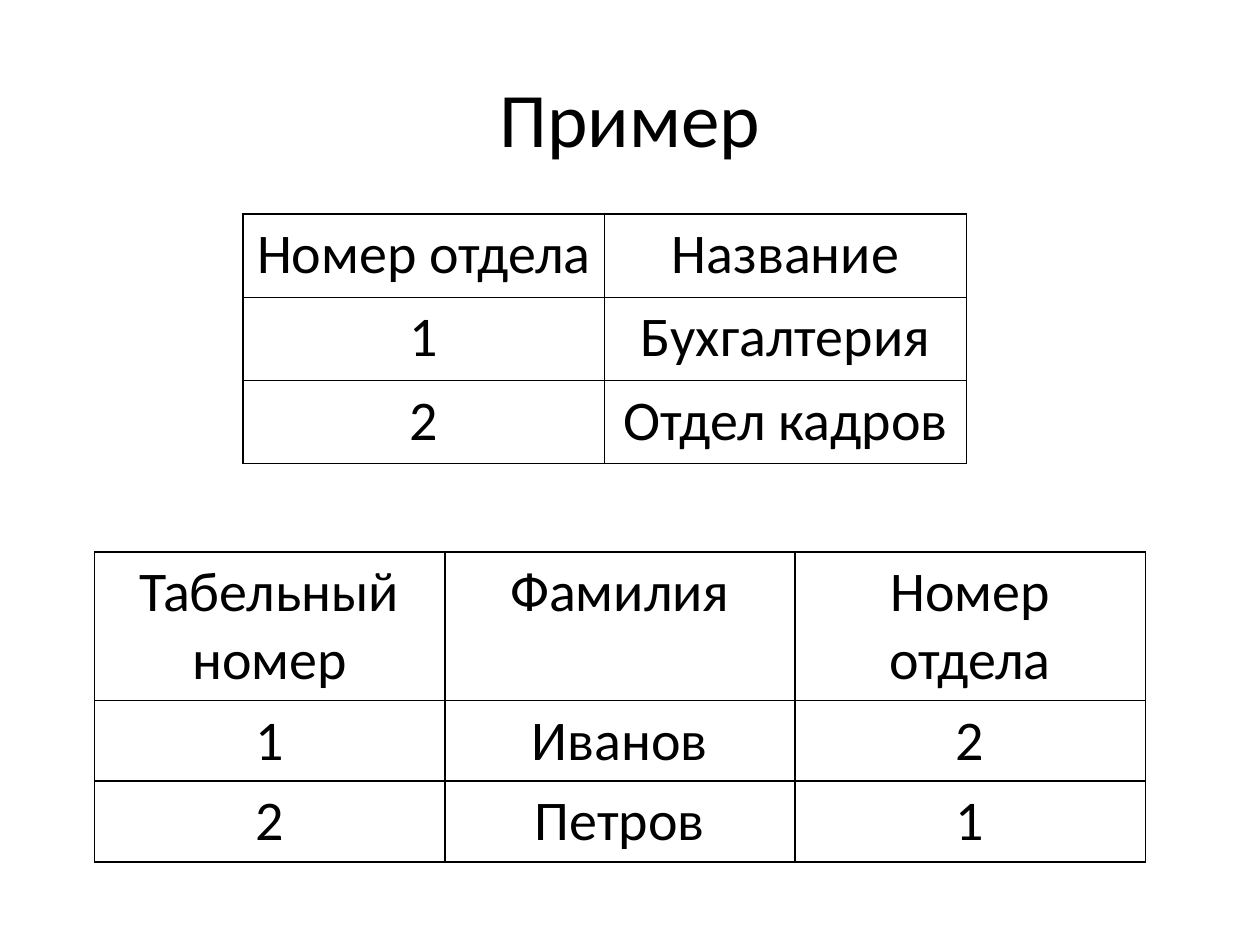
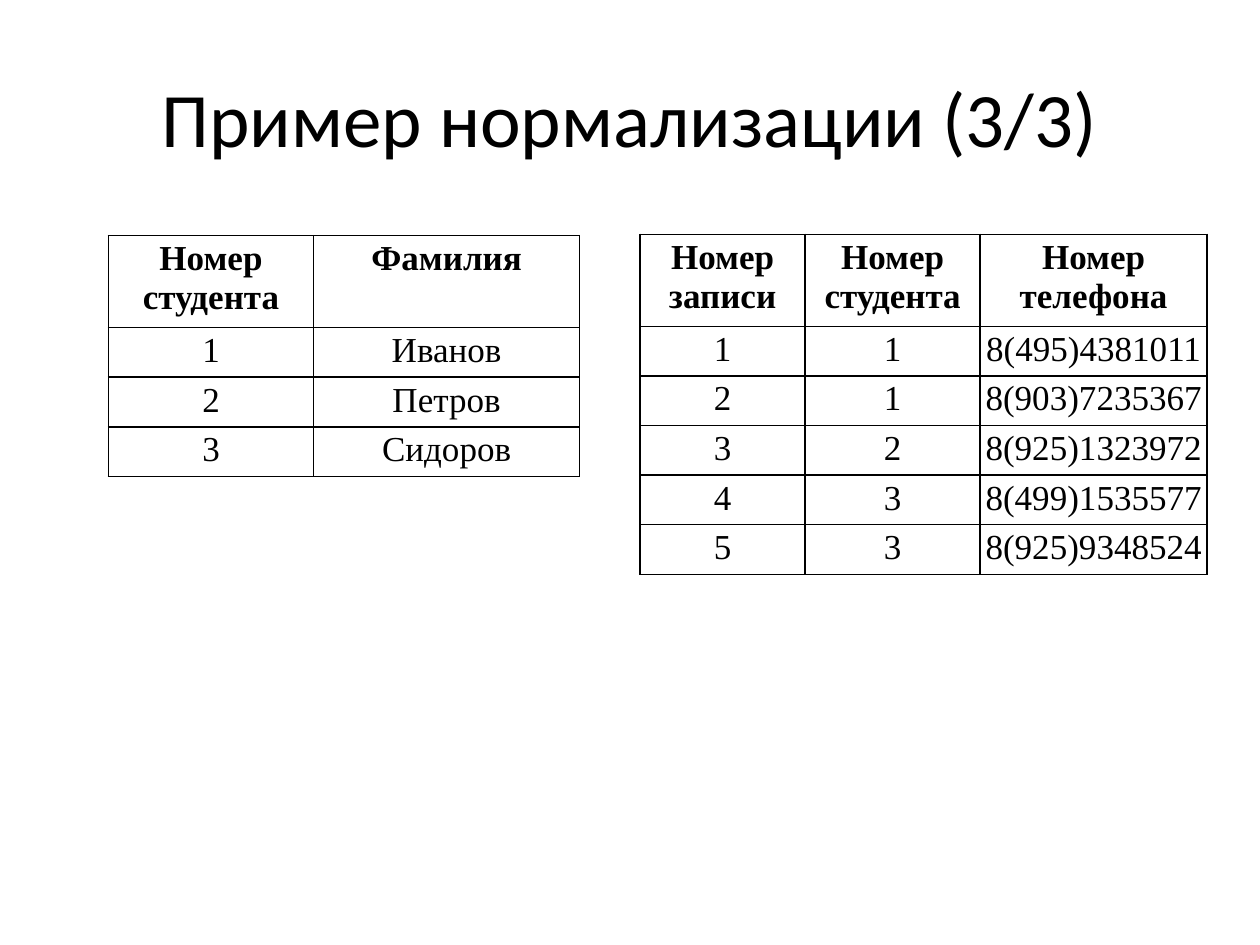
"""Build two slides of example relational tables and their normalised form."""
from dataclasses import dataclass

from lxml import etree
from pptx import Presentation
from pptx import util as u
from pptx.dml.color import RGBColor
from pptx.enum import text
from pptx.oxml import ns


@dataclass(frozen=True)
class Theme:
    ink: str = "000000"
    paper: str = "FFFFFF"
    title_font: str = "Calibri"
    title_size: int = 44
    border: float = 1


@dataclass(frozen=True)
class TableStyle:
    font: str
    size: int
    bold_header: bool
    margin_x: float
    margin_y: float


theme = Theme()
large = TableStyle("Calibri", 32, False, 0.1, 0.05)
compact = TableStyle("Times New Roman", 20, True, 0.03, 0.03)


def style_paragraph(p, font, size, bold=False):
    p.alignment = text.PP_ALIGN.CENTER
    p.font.name = font
    p.font.size = u.Pt(size)
    p.font.bold = bold
    p.font.color.rgb = RGBColor.from_string(theme.ink)


def add_grid(s, left, top, widths, heights, rows, style):
    frame = s.shapes.add_table(len(rows), len(widths), u.Inches(left), u.Inches(top),
                               u.Inches(sum(widths)), u.Inches(sum(heights)))
    table = frame.table
    table.first_row = table.horz_banding = False
    for column, width in zip(table.columns, widths):
        column.width = u.Inches(width)
    for i, (row, height) in enumerate(zip(rows, heights)):
        table.rows[i].height = u.Inches(height)
        for j, value in enumerate(row):
            cell = table.cell(i, j)
            cell.margin_left = cell.margin_right = u.Inches(style.margin_x)
            cell.margin_top = cell.margin_bottom = u.Inches(style.margin_y)
            props = cell._tc.get_or_add_tcPr()
            for side in ("a:lnL", "a:lnR", "a:lnT", "a:lnB"):
                ln = etree.SubElement(props, ns.qn(side), w=str(u.Pt(theme.border)))
                fill = etree.SubElement(ln, ns.qn("a:solidFill"))
                etree.SubElement(fill, ns.qn("a:srgbClr"), val=theme.ink)
            cell.fill.background()
            p = cell.text_frame.paragraphs[0]
            p.text = value
            style_paragraph(p, style.font, style.size, style.bold_header and i == 0)


departments = [("Номер отдела", "Название"), ("1", "Бухгалтерия"), ("2", "Отдел кадров")]
employees = [("Табельный номер", "Фамилия", "Номер отдела"),
             ("1", "Иванов", "2"), ("2", "Петров", "1")]
phones = [("Номер записи", "Номер студента", "Номер телефона"),
          ("1", "1", "8(495)4381011"),
          ("2", "1", "8(903)7235367"),
          ("3", "2", "8(925)1323972"),
          ("4", "3", "8(499)1535577"),
          ("5", "3", "8(925)9348524")]
students = [("Номер студента", "Фамилия"),
            ("1", "Иванов"), ("2", "Петров"), ("3", "Сидоров")]

slides = [
    ("Пример", [
        (1.93, 1.7, [2.87] * 2, [0.66] * 3, departments, large),
        (0.75, 4.38, [2.78] * 3, [1.18] + [0.64] * 2, employees, large),
    ]),
    ("Пример нормализации (3/3)", [
        (5.08, 1.86, [1.31, 1.39, 1.8], [0.73] + [0.37] * 5, phones, compact),
        (0.86, 1.87, [1.63, 2.11], [0.73] + [0.37] * 3, students, compact),
    ]),
]

prs = Presentation()
prs.slide_width, prs.slide_height = u.Inches(10), u.Inches(7.5)

for title, grids in slides:
    s = prs.slides.add_slide(prs.slide_layouts[6])
    s.background.fill.solid()
    s.background.fill.fore_color.rgb = RGBColor.from_string(theme.paper)
    sp = s.shapes.add_textbox(u.Inches(0.5), u.Inches(0.3), u.Inches(9), u.Inches(1.25))
    tf = sp.text_frame
    tf.word_wrap = True
    tf.vertical_anchor = text.MSO_ANCHOR.MIDDLE
    p = tf.paragraphs[0]
    p.text = title
    style_paragraph(p, theme.title_font, theme.title_size)
    for grid in grids:
        add_grid(s, *grid)

prs.save("out.pptx")
